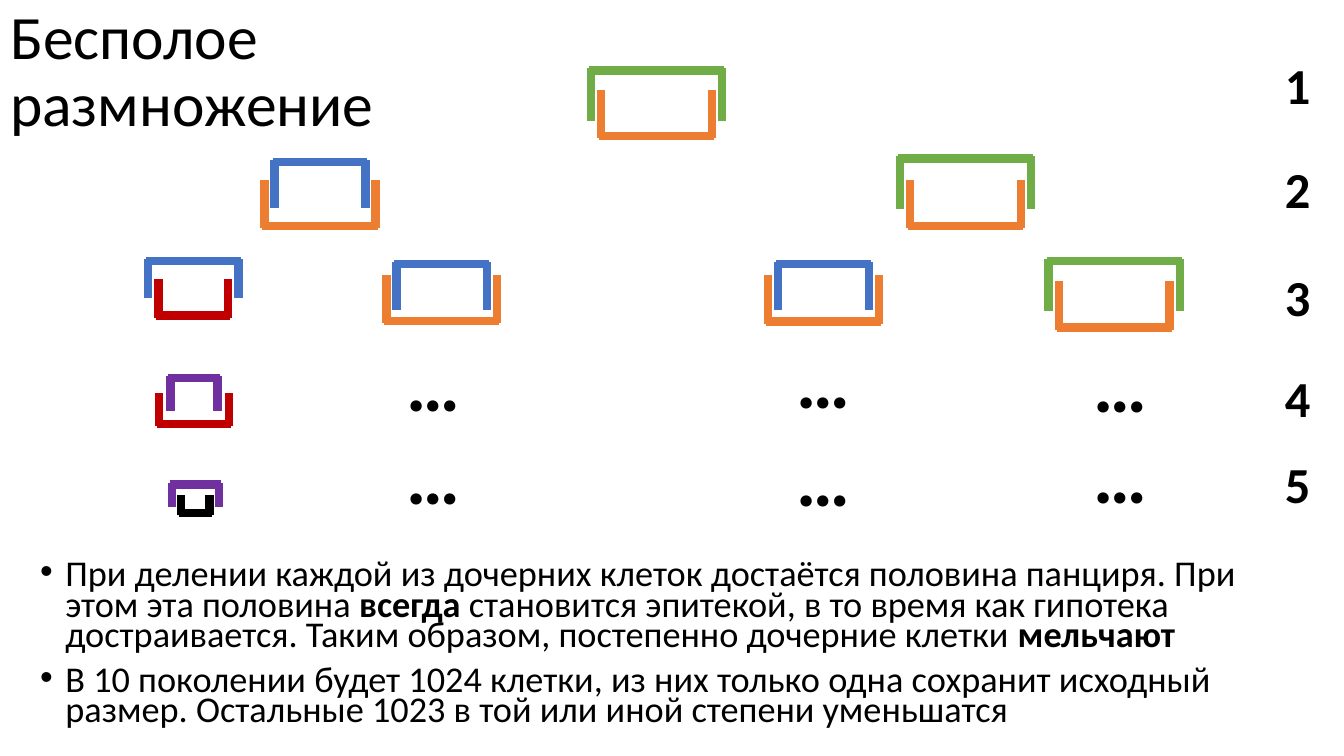
from dataclasses import dataclass

from lxml import etree
from pptx import Presentation
from pptx import util as u
from pptx.dml.color import RGBColor
from pptx.enum import shapes, text
from pptx.oxml.ns import qn

GREEN = RGBColor(0x70, 0xAD, 0x47)
ORANGE = RGBColor(0xED, 0x7D, 0x31)
BLUE = RGBColor(0x44, 0x72, 0xC4)
RED = RGBColor(0xC0, 0x00, 0x00)
PURPLE = RGBColor(0x70, 0x30, 0xA0)
BLACK = RGBColor(0x00, 0x00, 0x00)

FONT = "Calibri"
COLUMNS, ROWS = 160, 90
SLIDE_WIDTH, SLIDE_HEIGHT = u.Inches(13.333), u.Inches(7.5)

# Each valve keeps its size for life, so its colour gives its width in columns
VALVE_WIDTH = {GREEN: 15.6, ORANGE: 13.2, BLUE: 10.8, RED: 8.3, PURPLE: 5.6, BLACK: 3.4}
OVERHANG = 0.25


def col(count: float) -> int:
    return round(SLIDE_WIDTH * count / COLUMNS)


def row(count: float) -> int:
    return round(SLIDE_HEIGHT * count / ROWS)


@dataclass(frozen=True)
class Cell:
    """Two valves; reach is the length of a valve's sides in rows."""
    centre: float
    top: float
    bottom: float
    upper: RGBColor
    lower: RGBColor
    upper_reach: float = 5.5
    lower_reach: float = 5.5


@dataclass(frozen=True)
class Label:
    wording: str
    left: float
    top: float
    width: float
    height: float
    size: int


CELLS = [
    Cell(78.15, 8.4, 16.2, GREEN, ORANGE, 6),
    Cell(38.1, 19.3, 26.9, BLUE, ORANGE),
    Cell(114.95, 18.85, 26.9, GREEN, ORANGE, 6),
    Cell(23, 31.1, 37.55, BLUE, RED, 4.4, 4.3),
    Cell(52.6, 31.4, 38.2, BLUE, ORANGE),
    Cell(98.05, 31.45, 38.3, BLUE, ORANGE),
    Cell(132.65, 31.05, 39, GREEN, ORANGE, 6),
    Cell(23.1, 45, 50.5, PURPLE, RED, 3.9, 3.7),
    Cell(23.25, 57.7, 61.1, PURPLE, BLACK, 2.6, 2.2),
]
GENERATION_TOPS = [5.9, 18.25, 31.1, 43.1, 53.3]
OMITTED_TOPS = {47.25: (39.35, 50.5), 93.6: (39, 50.65), 129: (39.5, 50.4)}
LABELS = [
    Label(str(number), 151.8, top, 5.5, 8.5, 36)
    for number, top in enumerate(GENERATION_TOPS, 1)
] + [
    Label("…", left, top, 8.9, 12.1, 54)
    for left, tops in OMITTED_TOPS.items() for top in tops
]
# Odd-numbered pieces of a paragraph are bold
CONCLUSIONS = [
    ["При делении каждой из дочерних клеток достаётся половина панциря. "
     "При этом эта половина ", "всегда ",
     "становится эпитекой, в то время как гипотека достраивается. "
     "Таким образом, постепенно дочерние клетки ", "мельчают"],
    ["В 10 поколении будет 1024 клетки, из них только одна сохранит исходный "
     "размер. Остальные 1023 в той или иной степени уменьшатся"],
]


def format_font(font, size: float, bold: bool = False) -> None:
    font.name, font.size, font.bold = FONT, u.Pt(size), bold
    font.color.rgb = BLACK


def add_stroke(group, x1: float, y1: float, x2: float, y2: float, color: RGBColor) -> None:
    stroke = group.shapes.add_connector(
        shapes.MSO_CONNECTOR.STRAIGHT, col(x1), row(y1), col(x2), row(y2))
    stroke.line.color.rgb = color
    stroke.line.width = u.Pt(6)
    etree.SubElement(stroke._element.spPr, qn("a:effectLst"))


def add_valve(slide, centre: float, edge: float, reach: float, color: RGBColor) -> None:
    """Draw a bar at edge with two sides; a negative reach points upwards."""
    group = slide.shapes.add_group_shape()
    half = VALVE_WIDTH[color] / 2
    corner = edge - OVERHANG if reach > 0 else edge + OVERHANG
    add_stroke(group, centre - half - OVERHANG, edge,
               centre + half + OVERHANG, edge, color)
    for side in (centre - half, centre + half):
        add_stroke(group, side, corner, side, edge + reach, color)


def add_cell(slide, cell: Cell) -> None:
    add_valve(slide, cell.centre, cell.top, cell.upper_reach, cell.upper)
    add_valve(slide, cell.centre, cell.bottom, -cell.lower_reach, cell.lower)


def add_label(slide, label: Label) -> None:
    box = slide.shapes.add_textbox(
        col(label.left), row(label.top), col(label.width), row(label.height))
    box.text_frame.word_wrap = False
    box.text_frame.text = label.wording
    format_font(box.text_frame.paragraphs[0].runs[0].font, label.size, bold=True)


def format_title(slide) -> None:
    title = slide.shapes.title
    title.left, title.top = 0, 0
    title.width, title.height = col(47.15), row(17.4)
    frame = title.text_frame
    frame.text = "Бесполое размножение"
    frame.auto_size = text.MSO_AUTO_SIZE.NONE
    frame.vertical_anchor = text.MSO_ANCHOR.MIDDLE
    heading = frame.paragraphs[0]
    heading.alignment = text.PP_ALIGN.LEFT
    heading.line_spacing = 0.9
    format_font(heading.runs[0].font, 44)


def add_bullet(paragraph) -> None:
    properties = paragraph._p.get_or_add_pPr()
    indent = u.Inches(0.25)
    properties.set("marL", str(indent))
    properties.set("indent", str(-indent))
    etree.SubElement(properties, qn("a:buFont"), typeface="Arial")
    etree.SubElement(properties, qn("a:buChar"), char="•")


def add_conclusions(slide) -> None:
    frame = slide.shapes.add_textbox(col(3.6), row(66.35), col(153.6), row(22)).text_frame
    frame.word_wrap = True
    for index, pieces in enumerate(CONCLUSIONS):
        paragraph = frame.add_paragraph() if index else frame.paragraphs[0]
        add_bullet(paragraph)
        paragraph.line_spacing = 0.7
        if index:
            paragraph.space_before = u.Pt(10)
        for position, piece in enumerate(pieces):
            run = paragraph.add_run()
            run.text = piece
            format_font(run.font, 25.9, bold=position % 2 == 1)


def main() -> None:
    deck = Presentation()
    deck.slide_width, deck.slide_height = SLIDE_WIDTH, SLIDE_HEIGHT
    slide = deck.slides.add_slide(deck.slide_layouts.get_by_name("Title Only"))
    format_title(slide)
    for cell in CELLS:
        add_cell(slide, cell)
    for label in LABELS:
        add_label(slide, label)
    add_conclusions(slide)
    deck.save("out.pptx")


if __name__ == "__main__":
    main()
